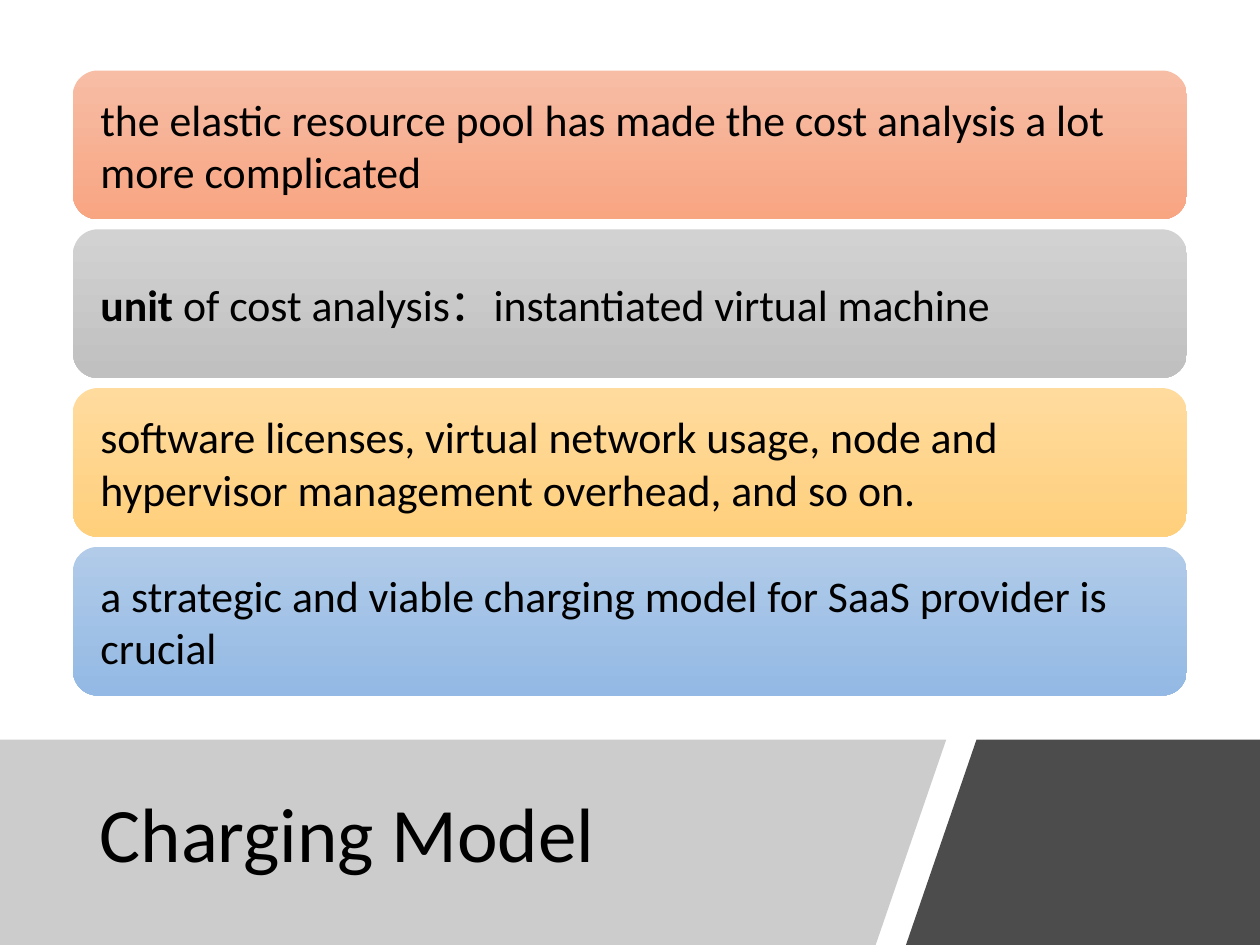
from lxml import etree
from pptx import Presentation
from pptx.dml.color import RGBColor
from pptx.enum.shapes import MSO_SHAPE
from pptx.enum.text import MSO_ANCHOR, PP_ALIGN
from pptx.oxml.ns import qn
from pptx.util import Inches, Pt

ROUNDED = MSO_SHAPE.ROUNDED_RECTANGLE
MIDDLE = MSO_ANCHOR.MIDDLE
LEFT = PP_ALIGN.LEFT
TITLE_ONLY = 5
FONT = "Calibri"
BAND_TOP, SLIDE_BOTTOM = 5.87, 7.5

# Gradient top, gradient bottom, bold lead-in, remaining text
POINTS = [
    ("F7BDA5", "F8A582", "",
     "the elastic resource pool has made the cost analysis a lot more complicated"),
    ("D2D2D2", "C0C0C0", "unit",
     " of cost analysis：instantiated virtual machine"),
    ("FFDB9E", "FFD07C", "",
     "software licenses, virtual network usage, node and hypervisor management overhead, "
     "and so on."),
    ("B1CBE9", "93B9E4", "",
     "a strategic and viable charging model for SaaS provider is crucial"),
]


def color(hex_value):
    return RGBColor.from_string(hex_value)


def style_paragraph(paragraph, size):
    paragraph.alignment = LEFT
    paragraph.font.name = FONT
    paragraph.font.size = Pt(size)
    paragraph.font.color.rgb = color("000000")


def add_band(slide, corners, fill, opacity):
    """Draw a translucent polygon through corners given in inches."""
    points = [(Inches(x), Inches(y)) for x, y in corners]
    builder = slide.shapes.build_freeform(*points[0])
    builder.add_line_segments(points[1:], close=True)
    band = builder.convert_to_shape()
    band.shadow.inherit = False
    band.line.fill.background()
    band.fill.solid()
    band.fill.fore_color.rgb = color(fill)
    fill_color = band.fill._xPr.find(qn("a:solidFill"))[0]
    etree.SubElement(fill_color, qn("a:alpha"), val=str(opacity * 1000))


def place_title(slide, text):
    title = slide.shapes.title
    title.left, title.top = Inches(0.69), Inches(6.05)
    title.width, title.height = Inches(6.33), Inches(1.2)
    frame = title.text_frame
    frame.text = text
    frame.vertical_anchor = MIDDLE
    style_paragraph(frame.paragraphs[0], 44)
    frame.paragraphs[0].line_spacing = 0.9
    # Bring the title in front of the bands
    slide.shapes._spTree.append(title._element)


def add_point(slide, top, gradient, lead, text):
    card = slide.shapes.add_shape(
        ROUNDED, Inches(0.58), Inches(top), Inches(8.84), Inches(1.18))
    card.shadow.inherit = False
    card.line.fill.background()
    card.fill.gradient()
    card.fill.gradient_angle = 270
    for stop, shade in zip(card.fill.gradient_stops, gradient):
        stop.color.rgb = color(shade)

    frame = card.text_frame
    frame.word_wrap = True
    frame.vertical_anchor = MIDDLE
    frame.margin_left = frame.margin_right = Inches(0.16)
    paragraph = frame.paragraphs[0]
    style_paragraph(paragraph, 25)
    if lead:
        lead_run = paragraph.add_run()
        lead_run.text = lead
        lead_run.font.bold = True
    paragraph.add_run().text = text


def main():
    presentation = Presentation()
    presentation.slide_width, presentation.slide_height = Inches(10), Inches(7.5)
    slide = presentation.slides.add_slide(presentation.slide_layouts[TITLE_ONLY])

    add_band(slide, [(0, BAND_TOP), (7.51, BAND_TOP), (6.95, SLIDE_BOTTOM),
                     (0, SLIDE_BOTTOM)], "808080", 40)
    add_band(slide, [(7.75, BAND_TOP), (10, BAND_TOP), (10, SLIDE_BOTTOM),
                     (7.19, SLIDE_BOTTOM)], "000000", 70)
    place_title(slide, "Charging Model")
    for row, (top_shade, bottom_shade, lead, text) in enumerate(POINTS):
        add_point(slide, 0.56 + row * 1.26, (top_shade, bottom_shade), lead, text)

    presentation.save("out.pptx")


if __name__ == "__main__":
    main()
